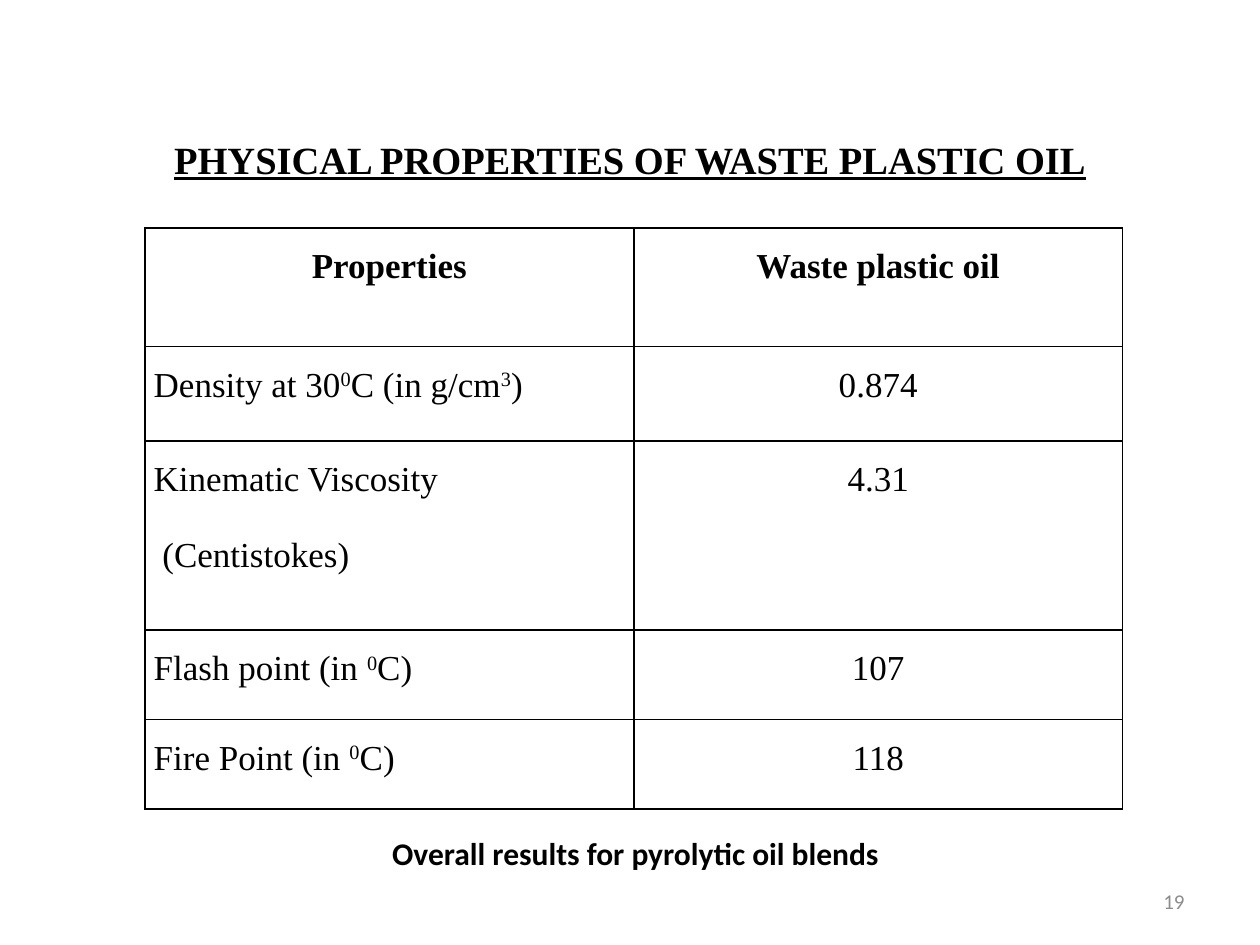
import dataclasses

import lxml.etree
import pptx
import pptx.dml.color
import pptx.enum.text
import pptx.oxml.ns
import pptx.util

Inches = pptx.util.Inches
Pt = pptx.util.Pt
Align = pptx.enum.text.PP_ALIGN
Anchor = pptx.enum.text.MSO_ANCHOR


@dataclasses.dataclass(frozen=True)
class Theme:
    ink: str = "000000"
    muted: str = "8C8C8C"
    serif: str = "Times New Roman"
    sans: str = "Calibri"
    title_size: int = 22
    body_size: int = 20
    caption_size: int = 18
    number_size: int = 12
    border_width: int = 1
    line_spacing: float = 1.5
    space_after: int = 10


class SlideBuilder:
    """Holds the theme and the current slide, and adds elements to it."""

    def __init__(self, deck, theme):
        self.theme = theme
        self.slide = deck.slides.add_slide(deck.slide_layouts[5])

    def set_text(self, paragraph, text, face, size, align, bold=False, color=None):
        for i, part in enumerate(text.split("^")):
            run = paragraph.add_run()
            run.text = part
            if i % 2:
                run._r.get_or_add_rPr().set("baseline", "30000")
        paragraph.alignment = align
        font = paragraph.font
        font.name, font.size, font.bold = face, Pt(size), bold
        font.color.rgb = pptx.dml.color.RGBColor.from_string(color or self.theme.ink)

    def title(self, text, left, top, width, height):
        heading = self.slide.shapes.title
        heading.left, heading.top = Inches(left), Inches(top)
        heading.width, heading.height = Inches(width), Inches(height)
        heading.text_frame.vertical_anchor = Anchor.MIDDLE
        paragraph = heading.text_frame.paragraphs[0]
        self.set_text(paragraph, text, self.theme.serif, self.theme.title_size, Align.CENTER, True)
        paragraph.font.underline = True

    def page_number(self, text, left, top, width, height):
        number = self.slide.shapes.add_textbox(
            Inches(left), Inches(top), Inches(width), Inches(height))
        number.text_frame.word_wrap = True
        number.text_frame.vertical_anchor = Anchor.MIDDLE
        self.set_text(number.text_frame.paragraphs[0], text, self.theme.sans,
                      self.theme.number_size, Align.RIGHT, color=self.theme.muted)

    def grid(self, left, top, width, heights, columns):
        table = self.slide.shapes.add_table(
            len(heights), columns, Inches(left), Inches(top),
            Inches(width), Inches(sum(heights))).table
        table.first_row = table.horz_banding = False
        for row, height in zip(table.rows, heights):
            row.height = Inches(height)
        return table

    def border(self, cell):
        qn = pptx.oxml.ns.qn
        properties = cell._tc.get_or_add_tcPr()
        for side in ("a:lnL", "a:lnR", "a:lnT", "a:lnB"):
            line = lxml.etree.SubElement(
                properties, qn(side), w=str(Pt(self.theme.border_width)))
            fill = lxml.etree.SubElement(line, qn("a:solidFill"))
            lxml.etree.SubElement(fill, qn("a:srgbClr"), val=self.theme.ink)

    def property_table(self, rows, left, top, width, heights):
        table = self.grid(left, top, width, heights, len(rows[0]))
        for r, row in enumerate(rows):
            for c, text in enumerate(row):
                cell = table.cell(r, c)
                self.border(cell)
                cell.fill.background()
                cell.margin_left = cell.margin_right = Inches(0.07)
                cell.margin_top = cell.margin_bottom = 0
                align = Align.LEFT if r and not c else Align.CENTER
                for i, line in enumerate(text.split("\n")):
                    frame = cell.text_frame
                    paragraph = frame.add_paragraph() if i else frame.paragraphs[0]
                    self.set_text(paragraph, line, self.theme.serif,
                                  self.theme.body_size, align, bold=r == 0)
                    paragraph.line_spacing = self.theme.line_spacing
                    paragraph.space_after = Pt(self.theme.space_after)

    def caption_table(self, text, left, top, width, height):
        cell = self.grid(left, top, width, [height], 1).cell(0, 0)
        cell.fill.background()
        self.set_text(cell.text_frame.paragraphs[0], text, self.theme.sans,
                      self.theme.caption_size, Align.CENTER, True)


def main():
    deck = pptx.Presentation()
    deck.slide_width, deck.slide_height = Inches(10), Inches(7.5)
    builder = SlideBuilder(deck, Theme())
    builder.title("PHYSICAL PROPERTIES OF WASTE PLASTIC OIL", 0.96, 0.72, 8.08, 1.08)
    builder.page_number("19", 7.17, 6.95, 2.33, 0.4)
    properties = [
        ("Properties", "Waste plastic oil"),
        ("Density at 30^0^C (in g/cm^3^)", "0.874"),
        ("Kinematic Viscosity\n (Centistokes)", "4.31"),
        ("Flash point (in ^0^C)", "107"),
        ("Fire Point (in ^0^C)", "118"),
    ]
    builder.property_table(properties, 1.15, 1.81, 7.76, [0.94, 0.75, 1.5, 0.71, 0.71])
    builder.caption_table("Overall results for pyrolytic oil blends", 1.71, 6.58, 6.67, 0.41)
    deck.save("out.pptx")


if __name__ == "__main__":
    main()
